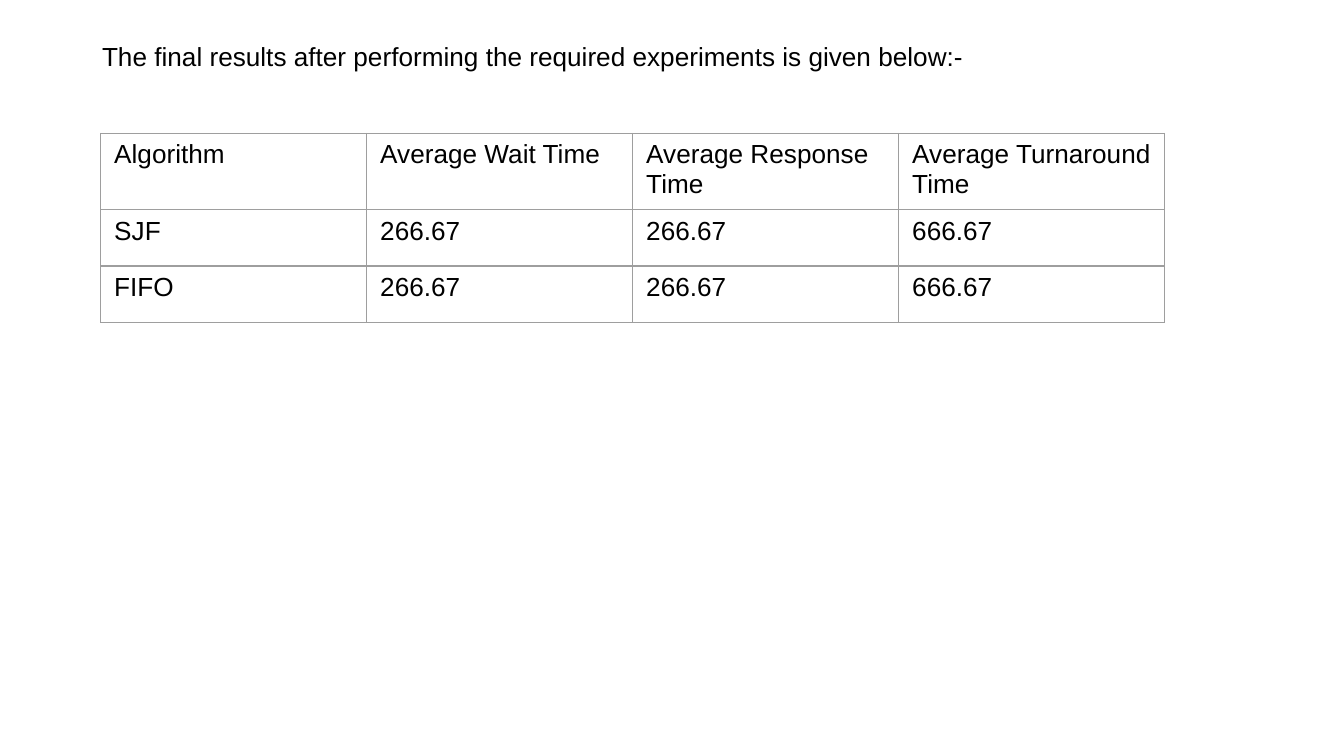
from lxml.etree import SubElement
from pptx import Presentation
from pptx.dml.color import RGBColor
from pptx.enum.text import MSO_AUTO_SIZE
from pptx.oxml.ns import qn
from pptx.util import Pt

BLACK = RGBColor(0x00, 0x00, 0x00)
WHITE = RGBColor(0xFF, 0xFF, 0xFF)
GREY = RGBColor(0x9E, 0x9E, 0x9E)
INSET = Pt(7.2)

ROWS = [
    ("Algorithm", "Average Wait Time", "Average Response Time", "Average Turnaround Time"),
    ("SJF", "266.67", "266.67", "666.67"),
    ("FIFO", "266.67", "266.67", "666.67"),
]


def style_text(tf):
    tf.word_wrap = True
    tf.margin_left = tf.margin_right = tf.margin_top = tf.margin_bottom = INSET
    for p in tf.paragraphs:
        for r in p.runs:
            r.font.name = "Arial"
            r.font.size = Pt(14)
            r.font.color.rgb = BLACK


def set_borders(cell):
    tc_pr = cell._tc.get_or_add_tcPr()
    for side in ("lnL", "lnR", "lnT", "lnB"):
        ln = SubElement(tc_pr, qn(f"a:{side}"), w=str(Pt(0.75)))
        fill = SubElement(ln, qn("a:solidFill"))
        SubElement(fill, qn("a:srgbClr"), val=str(GREY))


prs = Presentation()
prs.slide_width, prs.slide_height = Pt(720), Pt(405)
s = prs.slides.add_slide(prs.slide_layouts[6])
s.background.fill.solid()
s.background.fill.fore_color.rgb = WHITE

# Introductory line
sp = s.shapes.add_textbox(Pt(47.6), Pt(14.4), Pt(630.7), Pt(31.7))
tf = sp.text_frame
tf.text = "The final results after performing the required experiments is given below:-"
style_text(tf)
tf.auto_size = MSO_AUTO_SIZE.SHAPE_TO_FIT_TEXT

# Results table; rows grow to fit their text
col_w, row_h = Pt(142.5), Pt(30.24)
n_rows, n_cols = len(ROWS), len(ROWS[0])
table = s.shapes.add_table(n_rows, n_cols, Pt(54), Pt(71.5),
                           col_w * n_cols, row_h * n_rows).table
table.first_row = table.horz_banding = False
for col in table.columns:
    col.width = col_w
for row, values in zip(table.rows, ROWS):
    row.height = row_h
    for cell, value in zip(row.cells, values):
        cell.text_frame.text = value
        style_text(cell.text_frame)
        set_borders(cell)
        cell.fill.background()

prs.save("out.pptx")
